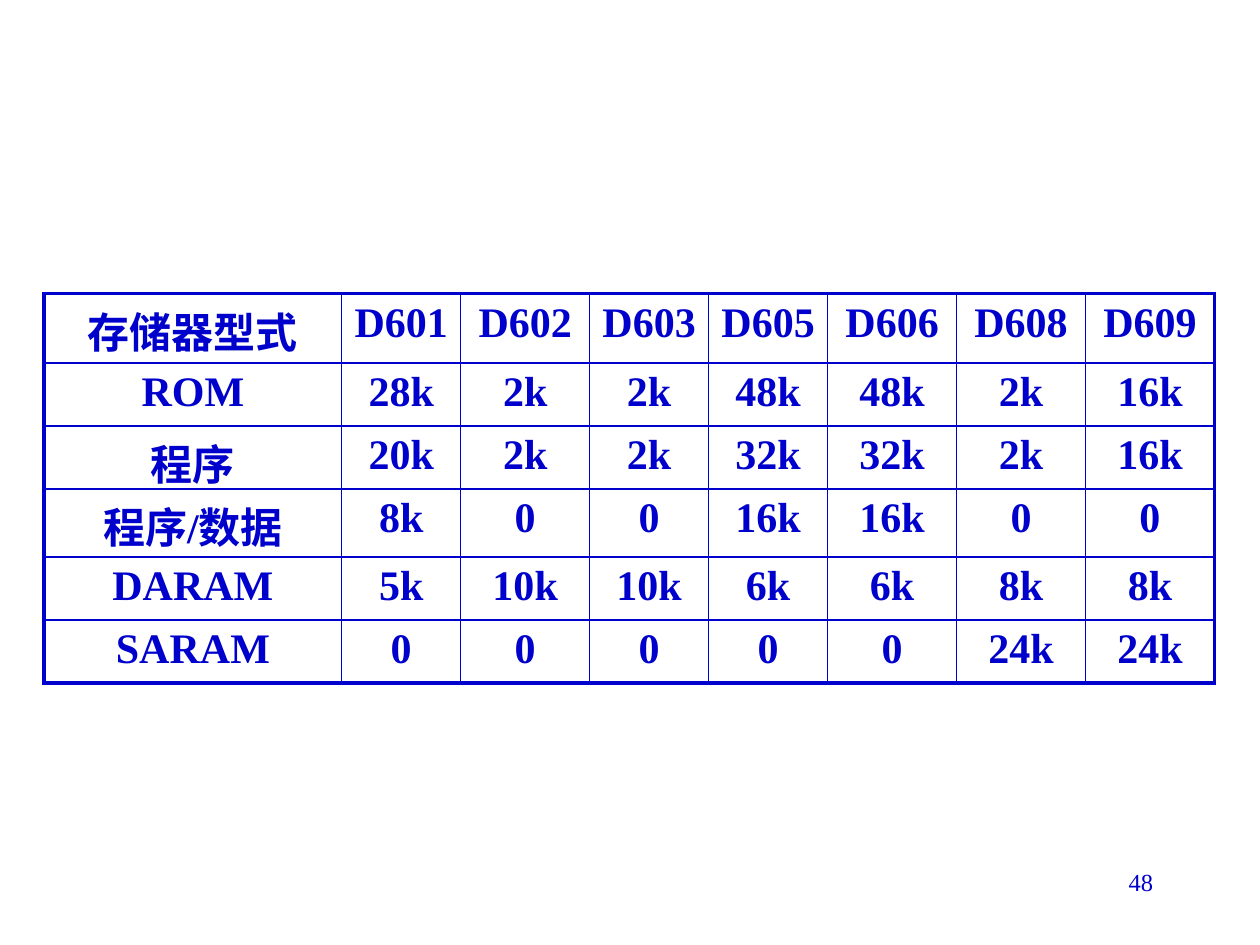
from dataclasses import dataclass

import pptx
import pptx.dml.color
import pptx.enum.text
import pptx.oxml
import pptx.oxml.ns
import pptx.util

Inches = pptx.util.Inches
Align = pptx.enum.text.PP_ALIGN


@dataclass(frozen=True)
class Theme:
    font: str = "Times New Roman"
    ink: str = "0000CC"
    body: float = 24
    small: float = 14
    thin: float = 1
    thick: float = 2.25


@dataclass(frozen=True)
class Box:
    """A frame in shares of the slide's width and height."""
    left: float
    top: float
    width: float
    height: float

    def place(self, deck) -> tuple:
        wide, high = deck.slide_width, deck.slide_height
        return (int(self.left * wide), int(self.top * high),
                int(self.width * wide), int(self.height * high))


@dataclass(frozen=True)
class Row:
    name: str
    values: str
    height: float = 0.5


THEME = Theme()
SPAN = 9.29
COLS = [30, 12, 13, 12, 12, 13, 13, 13]
ROWS = [
    Row("存储器型式", "D601 D602 D603 D605 D606 D608 D609", 0.55),
    Row("ROM", "28k 2k 2k 48k 48k 2k 16k"),
    Row("程序", "20k 2k 2k 32k 32k 2k 16k"),
    Row("程序/数据", "8k 0 0 16k 16k 0 0", 0.54),
    Row("DARAM", "5k 10k 10k 6k 6k 8k 8k"),
    Row("SARAM", "0 0 0 0 0 24k 24k"),
]
GRID = Box(0.035, 2.33 / 7.5, SPAN / 10, 3.09 / 7.5)
PAGE = Box(0.717, 6.83 / 7.5, 0.208, 0.5 / 7.5)


def write(frame, text: str, size: float, align, bold: bool = False) -> None:
    para = frame.paragraphs[0]
    para.text = text
    para.alignment = align
    font = para.font
    font.name, font.size, font.bold = THEME.font, pptx.util.Pt(size), bold
    font.color.rgb = pptx.dml.color.RGBColor.from_string(THEME.ink)


def edge(cell, sides: dict[str, float]) -> None:
    """Draw the cell's borders, placed ahead of its fill."""
    props = cell._tc.get_or_add_tcPr()
    space = pptx.oxml.ns.nsdecls("a")
    for spot, (side, width) in enumerate(sides.items()):
        props.insert(spot, pptx.oxml.parse_xml(
            f'<a:ln{side} {space} w="{int(pptx.util.Pt(width))}">'
            f'<a:solidFill><a:srgbClr val="{THEME.ink}"/></a:solidFill>'
            f'</a:ln{side}>'))


def draw_grid(deck, slide) -> None:
    table = slide.shapes.add_table(
        len(ROWS), len(COLS), *GRID.place(deck)).table
    table.first_row = table.horz_banding = False
    for col, share in zip(table.columns, COLS):
        col.width = Inches(SPAN * share / sum(COLS))
    for r, row in enumerate(ROWS):
        table.rows[r].height = Inches(row.height)
        for c, text in enumerate([row.name, *row.values.split()]):
            cell = table.cell(r, c)
            cell.fill.background()
            cell.margin_left = cell.margin_right = Inches(0.05)
            cell.margin_bottom = 0
            write(cell.text_frame, text, THEME.body, Align.CENTER, True)
            outer = {"L": c == 0, "R": c == len(COLS) - 1,
                     "T": r == 0, "B": r == len(ROWS) - 1}
            edge(cell, {side: THEME.thick if rim else THEME.thin
                        for side, rim in outer.items()})


def draw_page(deck, slide) -> None:
    frame = slide.shapes.add_textbox(*PAGE.place(deck)).text_frame
    frame.word_wrap = True
    write(frame, "48", THEME.small, Align.RIGHT)


def main() -> None:
    deck = pptx.Presentation()
    deck.slide_width, deck.slide_height = Inches(10), Inches(7.5)
    slide = deck.slides.add_slide(deck.slide_layouts[6])
    draw_page(deck, slide)
    draw_grid(deck, slide)
    deck.save("out.pptx")


if __name__ == "__main__":
    main()
